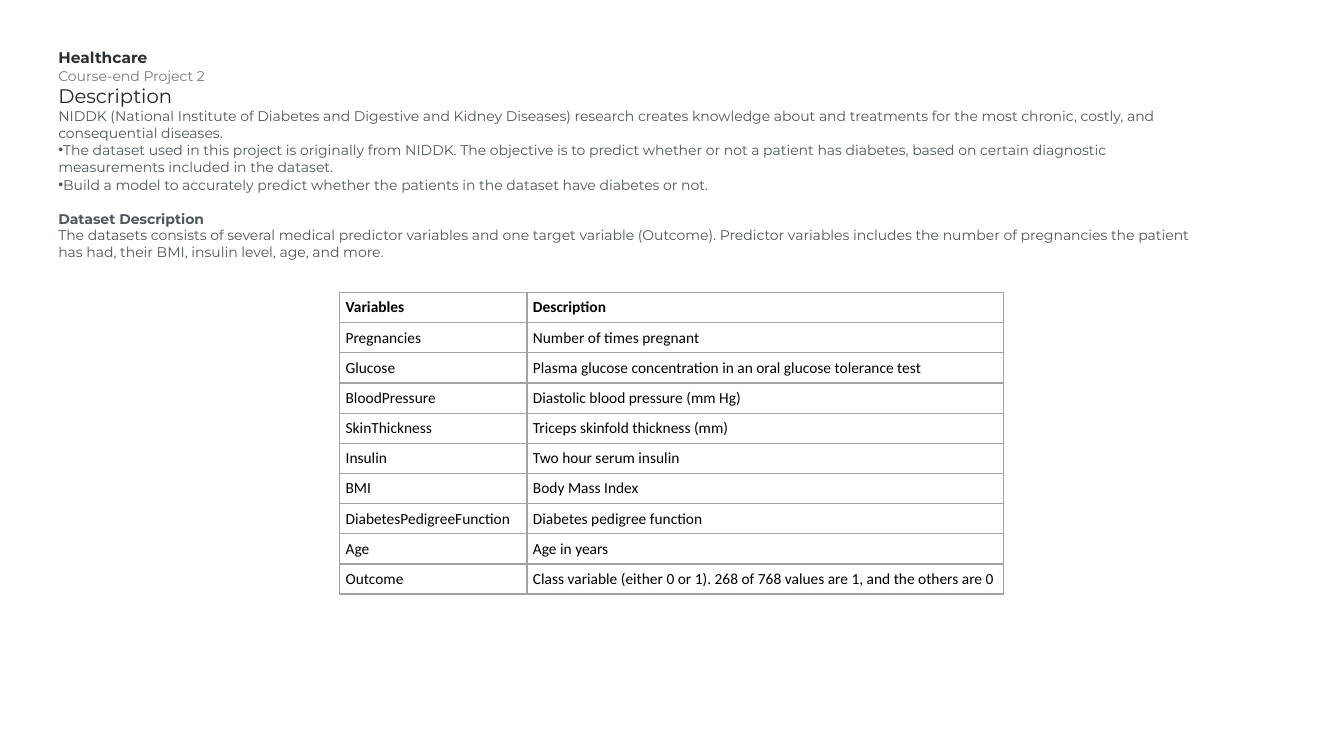
from lxml.etree import SubElement
from pptx import Presentation
from pptx.dml.color import RGBColor
from pptx.enum.text import MSO_ANCHOR as Anchor, MSO_AUTO_SIZE as AutoSize, PP_ALIGN as Align
from pptx.oxml import parse_xml
from pptx.oxml.ns import nsdecls, qn
from pptx.util import Cm, Pt

COLOURS = {
    "title": "292F32",
    "project": "797979",
    "heading": "262626",
    "prose": "4D575D",
    "cell": "000000",
    "border": "A3A3A3",
}
PROSE_FONT, TABLE_FONT = "Montserrat", "Calibri"
TITLE = "Healthcare"

# text, size, colour, bold, bulleted, space before
INTRODUCTION = [
    ("Course-end Project 2", 10, "project", False, False, 0),
    ("Description", 14, "heading", False, False, 0),
    ("NIDDK (National Institute of Diabetes and Digestive and Kidney Diseases) research "
     "creates knowledge about and treatments for the most chronic, costly, and "
     "consequential diseases.", 10, "prose", False, False, 0),
    ("The dataset used in this project is originally from NIDDK. The objective is to "
     "predict whether or not a patient has diabetes, based on certain diagnostic "
     "measurements included in the dataset.", 10, "prose", False, True, 0),
    ("Build a model to accurately predict whether the patients in the dataset have "
     "diabetes or not.", 10, "prose", False, True, 1),
    ("Dataset Description", 10, "prose", True, False, 12),
    ("The datasets consists of several medical predictor variables and one target "
     "variable (Outcome). Predictor variables includes the number of pregnancies the "
     "patient has had, their BMI, insulin level, age, and more.",
     10, "prose", False, False, 0),
]

VARIABLES = [
    ("Variables", "Description"),
    ("Pregnancies", "Number of times pregnant"),
    ("Glucose", "Plasma glucose concentration in an oral glucose tolerance test"),
    ("BloodPressure", "Diastolic blood pressure (mm Hg)"),
    ("SkinThickness", "Triceps skinfold thickness (mm)"),
    ("Insulin", "Two hour serum insulin"),
    ("BMI", "Body Mass Index"),
    ("DiabetesPedigreeFunction", "Diabetes pedigree function"),
    ("Age", "Age in years"),
    ("Outcome", "Class variable (either 0 or 1). 268 of 768 values are 1, and the others are 0"),
]


def add_run(paragraph, text, font, size, colour, bold):
    run = paragraph.add_run()
    run.text = text
    run.font.name = font
    run.font.size = Pt(size)
    run.font.bold = bold
    run.font.color.rgb = RGBColor.from_string(COLOURS[colour])


def set_frame(frame):
    """Wrap the text from the top, with side insets only."""
    frame.word_wrap = True
    frame.auto_size = AutoSize.NONE
    frame.vertical_anchor = Anchor.TOP
    frame.margin_left = frame.margin_right = Cm(0.25)
    frame.margin_top = frame.margin_bottom = 0


def add_bullet(paragraph):
    properties = paragraph._p.get_or_add_pPr()
    properties.set("marL", "0")
    properties.set("indent", "0")
    SubElement(properties, qn("a:buFont")).set("typeface", "Arial")
    SubElement(properties, qn("a:buChar")).set("char", "•")


def place_title(slide, left, top, width, height):
    title = slide.shapes.title
    title.left, title.top, title.width, title.height = left, top, width, height
    set_frame(title.text_frame)
    paragraph = title.text_frame.paragraphs[0]
    paragraph.alignment = Align.LEFT
    add_run(paragraph, TITLE, PROSE_FONT, 11, "title", True)


def add_introduction(slide, left, top, width, height):
    frame = slide.shapes.add_textbox(left, top, width, height).text_frame
    set_frame(frame)
    for index, (text, size, colour, bold, bulleted, before) in enumerate(INTRODUCTION):
        paragraph = frame.add_paragraph() if index else frame.paragraphs[0]
        paragraph.space_before = Pt(before)
        if bulleted:
            add_bullet(paragraph)
        add_run(paragraph, text, PROSE_FONT, size, colour, bold)


def add_borders(cell):
    properties = cell._tc.get_or_add_tcPr()
    for position, side in enumerate(("lnL", "lnR", "lnT", "lnB")):
        properties.insert(position, parse_xml(
            f'<a:{side} {nsdecls("a")} w="{Pt(1)}"><a:solidFill>'
            f'<a:srgbClr val="{COLOURS["border"]}"/></a:solidFill></a:{side}>'))


def add_variables_table(slide, left, top, width, height):
    table = slide.shapes.add_table(len(VARIABLES), 2, left, top, width, height).table
    table.first_row = table.horz_banding = False
    names_width = Cm(4.72)
    table.columns[0].width = names_width
    table.columns[1].width = width - names_width
    for row, texts in enumerate(VARIABLES):
        for column, text in enumerate(texts):
            cell = table.cell(row, column)
            cell.fill.background()
            add_borders(cell)
            cell.vertical_anchor = Anchor.MIDDLE
            cell.margin_left = cell.margin_right = Cm(0.15)
            cell.margin_top = cell.margin_bottom = Cm(0.14)
            add_run(cell.text_frame.paragraphs[0], text, TABLE_FONT, 11, "cell", row == 0)


def main():
    deck = Presentation()
    deck.slide_width, deck.slide_height = Cm(33.87), Cm(19.05)
    slide = deck.slides.add_slide(deck.slide_layouts[5])
    left, top, width, title_height = Cm(1.22), Cm(1.22), Cm(29.6), Cm(0.48)
    place_title(slide, left, top, width, title_height)
    add_introduction(slide, left, top + title_height, width, Cm(5))
    add_variables_table(slide, Cm(8.56), Cm(7.37), Cm(16.74), Cm(7.6))
    deck.save("out.pptx")


if __name__ == "__main__":
    main()
